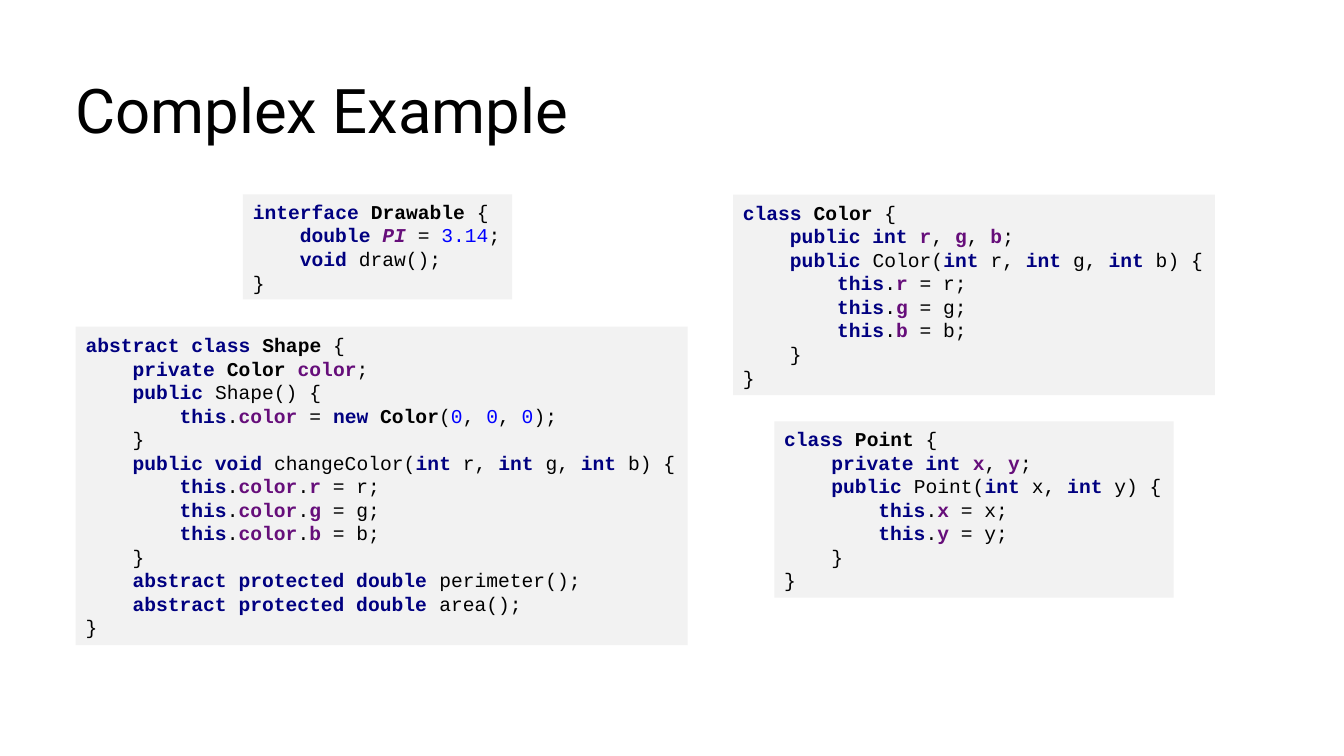
from pptx import Presentation
from pptx.dml.color import RGBColor
from pptx.enum.shapes import MSO_SHAPE
from pptx.enum.text import MSO_ANCHOR, MSO_AUTO_SIZE, PP_ALIGN
from pptx.util import Inches, Pt

COLORS = {
    "panel": "F2F2F2",
    "plain": "000000",
    "keyword": "000080",
    "field": "660E7A",
    "number": "0000FF",
}

# Marker of a highlighted token: colour, bold, italic
STYLES = {
    "*": ("keyword", True, False),
    "@": ("plain", True, False),
    "#": ("field", True, False),
    "~": ("field", True, True),
    "$": ("number", False, False),
}
PLAIN = ("plain", False, False)
SPACE_WIDTH = 8.4 / 72  # one Courier New character at 14 pt, in inches

DRAWABLE = """\
|*interface| |@Drawable| {
    |*double| |~PI| = |$3.14|;
    |*void| draw();
}"""

POINT = """\
|*class| |@Point| {
    |*private int| |#x|, |#y|;
    |*public| Point(|*int| x, |*int| y) {
        |*this|.|#x| = x;
        |*this|.|#y| = y;
    }
}"""

COLOR = """\
|*class| |@Color| {
    |*public int| |#r|, |#g|, |#b|;
    |*public| Color(|*int| r, |*int| g, |*int| b) {
        |*this|.|#r| = r;
        |*this|.|#g| = g;
        |*this|.|#b| = b;
    }
}"""

SHAPE = """\
|*abstract class| |@Shape| {
    |*private| |@Color| |#color|;
    |*public| Shape() {
        |*this|.|#color| = |*new| |@Color|(|$0|, |$0|, |$0|);
    }
    |*public void| changeColor(|*int| r, |*int| g, |*int| b) {
        |*this|.|#color|.|#r| = r;
        |*this|.|#color|.|#g| = g;
        |*this|.|#color|.|#b| = b;
    }
    |*abstract protected double| perimeter();
    |*abstract protected double| area();
}"""

LISTINGS = [
    (DRAWABLE, 2.41, 1.93, 2.67, 1.04),
    (POINT, 7.68, 4.18, 3.96, 1.75),
    (COLOR, 7.27, 1.93, 4.78, 1.99),
    (SHAPE, 0.75, 3.24, 6.07, 3.16),
]


def add_code_line(paragraph, line):
    """Fill a paragraph with one line; every second piece between bars is highlighted."""
    code = line.lstrip()
    indent = (len(line) - len(code)) * SPACE_WIDTH
    paragraph._p.get_or_add_pPr().set("marL", str(int(Inches(indent))))
    paragraph.alignment = PP_ALIGN.LEFT
    paragraph.font.name = "Courier New"
    paragraph.font.size = Pt(14)
    for index, piece in enumerate(code.split("|")):
        if not piece:
            continue
        highlighted = index % 2 == 1
        color, bold, italic = STYLES[piece[0]] if highlighted else PLAIN
        run = paragraph.add_run()
        run.text = piece[1:] if highlighted else piece
        run.font.bold = bold
        run.font.italic = italic
        run.font.color.rgb = RGBColor.from_string(COLORS[color])


prs = Presentation()
prs.slide_width = Inches(13.33)
prs.slide_height = Inches(7.5)
slide = prs.slides.add_slide(prs.slide_layouts[6])

title = slide.shapes.add_textbox(Inches(0.75), Inches(0.75), Inches(11.83), Inches(0.75))
title_frame = title.text_frame
title_frame.word_wrap = True
title_frame.margin_left = 0
title_frame.vertical_anchor = MSO_ANCHOR.MIDDLE
heading = title_frame.paragraphs[0]
heading.text = "Complex Example"
heading.line_spacing = 0.9
heading.font.name = "Roboto"
heading.font.size = Pt(44)
heading.font.color.rgb = RGBColor.from_string(COLORS["plain"])

for code, *bounds in LISTINGS:
    panel = slide.shapes.add_shape(MSO_SHAPE.RECTANGLE, *map(Inches, bounds))
    panel.shadow.inherit = False
    panel.fill.solid()
    panel.fill.fore_color.rgb = RGBColor.from_string(COLORS["panel"])
    panel.line.fill.background()
    frame = panel.text_frame
    frame.word_wrap = False
    frame.auto_size = MSO_AUTO_SIZE.SHAPE_TO_FIT_TEXT
    frame.vertical_anchor = MSO_ANCHOR.MIDDLE
    for number, line in enumerate(code.splitlines()):
        paragraph = frame.add_paragraph() if number else frame.paragraphs[0]
        add_code_line(paragraph, line)

prs.save("out.pptx")
